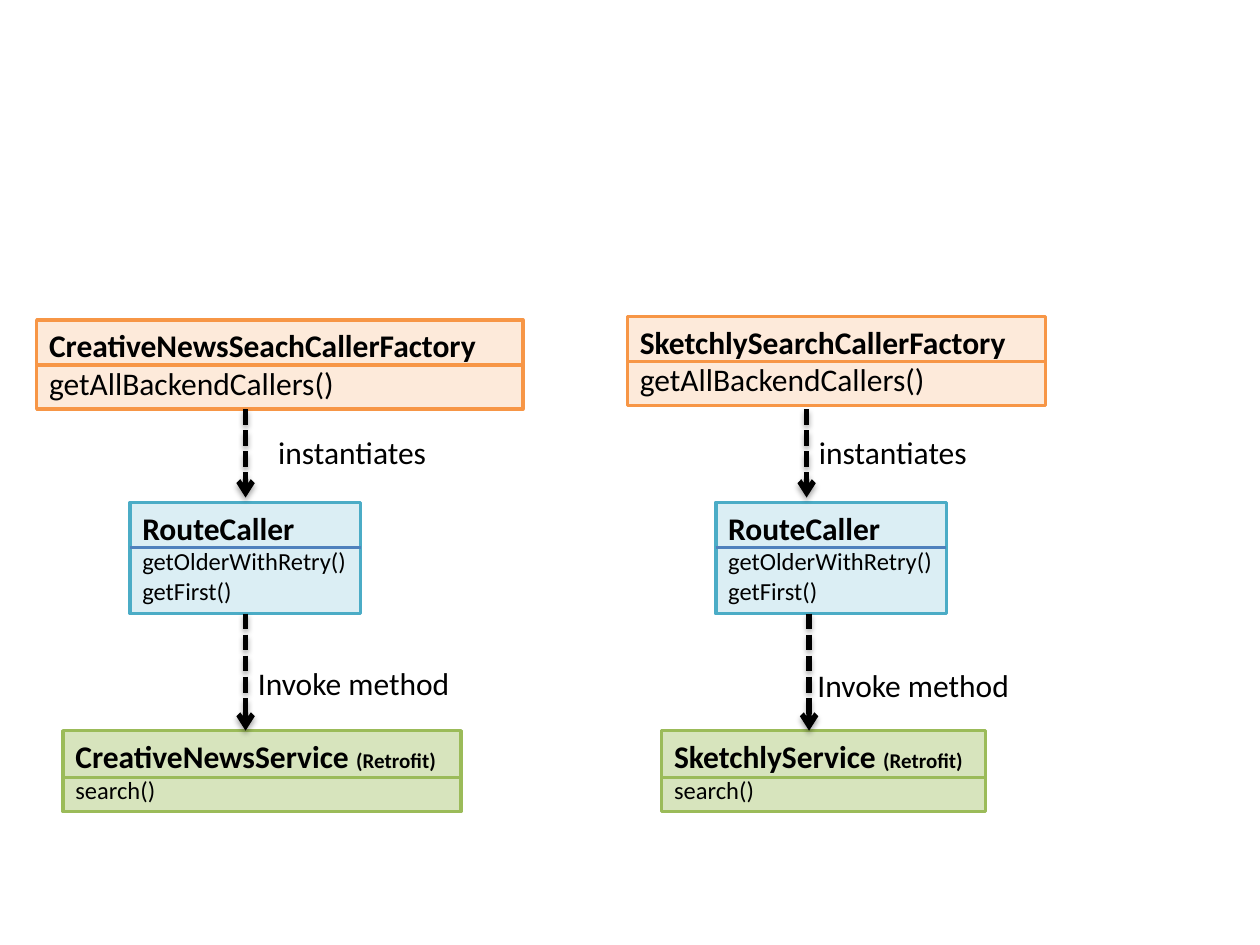
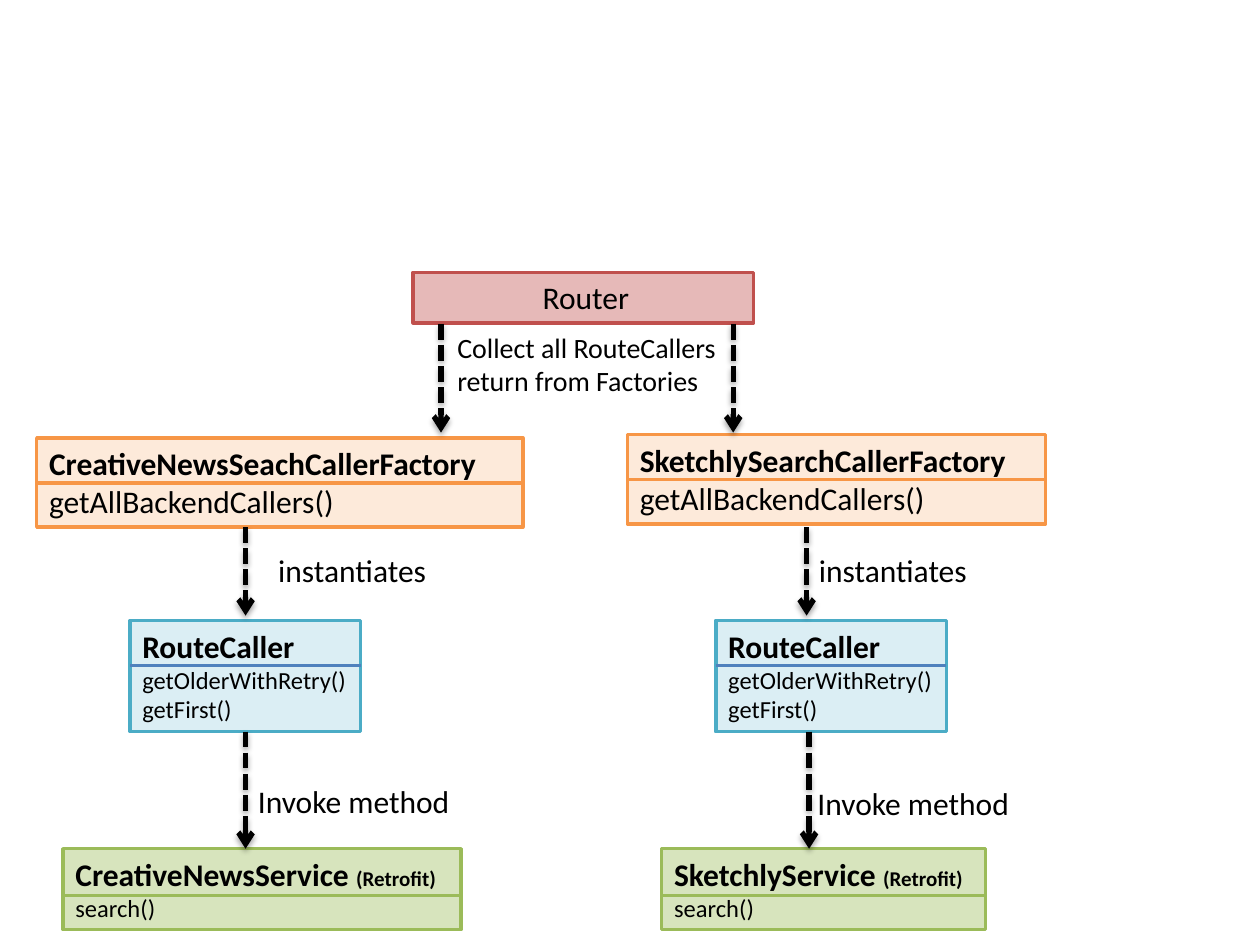
from lxml import etree
from pptx import Presentation
from pptx import util as u
from pptx.dml.color import RGBColor
from pptx.enum import dml, shapes as shape_types, text as text_types
from pptx.oxml import ns

COLOURS = {
    "ink": "000000",
    "factory fill": "FDEADA", "factory line": "F79646",
    "caller fill": "DBEEF4", "caller line": "4BACC6",
    "caller divider": "4F81BD",
    "service fill": "D7E4BD", "service line": "9BBB59",
    "router fill": "E6B9B8", "router line": "C0504D",
}
FONT = "Calibri"
LINE_HEIGHT = 1.02  # box of one 18 pt line, in cm
LABEL_WIDTH = 4.83


def colour(name):
    return RGBColor.from_string(COLOURS[name])


def write(shape, paragraphs, align=text_types.PP_ALIGN.LEFT):
    """Fill a shape with paragraphs, each a list of (words, size, bold)."""
    frame = shape.text_frame
    frame.word_wrap = True
    frame.auto_size = text_types.MSO_AUTO_SIZE.SHAPE_TO_FIT_TEXT
    frame.vertical_anchor = text_types.MSO_ANCHOR.TOP
    for index, runs in enumerate(paragraphs):
        paragraph = frame.add_paragraph() if index else frame.paragraphs[0]
        paragraph.alignment = align
        for words, size, bold in runs:
            run = paragraph.add_run()
            run.text = words
            run.font.name = FONT
            run.font.size = u.Pt(size)
            run.font.bold = bold
            run.font.color.rgb = colour("ink")


def add_label(slide, words, left, top, width=LABEL_WIDTH, height=LINE_HEIGHT,
              size=18):
    label = slide.shapes.add_textbox(u.Cm(left), u.Cm(top), u.Cm(width),
                                     u.Cm(height))
    write(label, [[(words, size, False)]])


def add_box(shapes, kind, left, top, width, height, paragraphs, **options):
    box = shapes.add_shape(shape_types.MSO_SHAPE.RECTANGLE, u.Cm(left),
                           u.Cm(top), u.Cm(width), u.Cm(height))
    box.shadow.inherit = False
    box.fill.solid()
    box.fill.fore_color.rgb = colour(kind + " fill")
    box.line.color.rgb = colour(kind + " line")
    box.line.width = u.Pt(2)
    write(box, paragraphs, **options)
    # Leave slack for the longest method name
    box.text_frame.margin_right = u.Cm(0.15)


def add_line(shapes, x1, y1, x2, y2, line_colour, width):
    """Draw a straight line; return it with its empty effect list."""
    line = shapes.add_connector(shape_types.MSO_CONNECTOR.STRAIGHT, u.Cm(x1),
                                u.Cm(y1), u.Cm(x2), u.Cm(y2))
    line.line.color.rgb = colour(line_colour)
    line.line.width = u.Pt(width)
    effects = etree.SubElement(line.element.spPr, ns.qn("a:effectLst"))
    return line, effects


def add_arrow(slide, x, top, bottom):
    """Dashed downward arrow with a soft shadow."""
    arrow, effects = add_line(slide.shapes, x, top, x, bottom, "ink", 3)
    arrow.line.dash_style = dml.MSO_LINE.SQUARE_DOT
    outline = arrow.element.spPr.find(ns.qn("a:ln"))
    etree.SubElement(outline, ns.qn("a:tailEnd"), type="arrow")
    shadow = etree.SubElement(effects, ns.qn("a:outerShdw"), blurRad="40000",
                              dist="23000", dir="5400000", rotWithShape="0")
    tone = etree.SubElement(shadow, ns.qn("a:srgbClr"), val=COLOURS["ink"])
    etree.SubElement(tone, ns.qn("a:alpha"), val="35000")


def add_class(slide, kind, left, top, width, height, paragraphs,
              divider=0.91):
    """Class box: name above the divider, methods below it."""
    group = slide.shapes.add_group_shape()
    add_box(group.shapes, kind, left, top, width, height, paragraphs)
    name = kind + " divider"
    line_colour = name if name in COLOURS else kind + " line"
    add_line(group.shapes, left, top + divider, left + width, top + divider,
             line_colour, 2)


def add_chain(slide, left, top, chain):
    """Factory, caller and service below each other, joined by arrows."""
    caller_top, service_top = top + 3.68, top + 8.28
    caller_height = 2.24

    # Caller and service
    add_class(slide, "caller", left + chain["caller x"], caller_top, 4.65,
              caller_height, [[("RouteCaller", 18, True)],
                              [("getOlderWithRetry()", 14, False)],
                              [("getFirst()", 14, False)]])
    add_class(slide, "service", left + chain["service x"], service_top,
              chain["service width"], 1.63,
              [[(chain["service"] + " ", 18, True), ("(Retrofit)", 12, True)],
               [("search()", 14, False)]], divider=0.94)
    add_arrow(slide, left + chain["invoke x"], caller_top + caller_height,
              service_top)
    add_label(slide, "Invoke method", left + chain["invoke label"][0],
              top + chain["invoke label"][1])

    # Factory
    add_class(slide, "factory", left, top - chain["factory lift"],
              chain["factory width"], 1.8,
              [[(chain["factory"], 18, True)],
               [("getAllBackendCallers()", 18, False)]])
    add_arrow(slide, left + chain["create x"], top + 1.8, caller_top - 0.1)
    add_label(slide, "instantiates", left + chain["create label x"],
              top + 2.16)


def add_router(slide, left, top):
    """Router box with an arrow down to each factory."""
    add_box(slide.shapes, "router", left, top, 6.86, LINE_HEIGHT,
            [[("Router", 18, False)]], align=text_types.PP_ALIGN.CENTER)
    for x in (0.56, 6.45):
        add_arrow(slide, left + x, top + 1.04, top + 3.23)
    add_label(slide, "Collect all RouteCallers return from Factories",
              left + 0.64, top + 1.04, 6.45, 1.63, size=16)


# Left edge of each chain, and its parts relative to that edge
CHAINS = [
    (0.74, {
        "factory": "CreativeNewsSeachCallerFactory", "factory width": 9.8,
        "factory lift": 0, "caller x": 1.88,
        "service": "CreativeNewsService", "service x": 0.53,
        "service width": 8.03, "create x": 4.21, "create label x": 4.62,
        "invoke x": 4.21, "invoke label": (4.21, 6.81)}),
    (12.65, {
        "factory": "SketchlySearchCallerFactory", "factory width": 8.43,
        "factory lift": 0.07, "caller x": 1.78,
        "service": "SketchlyService", "service x": 0.69,
        "service width": 6.53, "create x": 3.61, "create label x": 3.61,
        "invoke x": 3.66, "invoke label": (3.58, 6.86)}),
]

presentation = Presentation()
presentation.slide_width, presentation.slide_height = u.Cm(25.4), u.Cm(19.05)
blank_layout = presentation.slide_layouts[6]

for chain_top, has_router in ((6.45, False), (8.83, True)):
    slide = presentation.slides.add_slide(blank_layout)
    for chain_left, chain in CHAINS:
        add_chain(slide, chain_left, chain_top, chain)
    if has_router:
        add_router(slide, 8.33, 5.49)

presentation.save("out.pptx")
